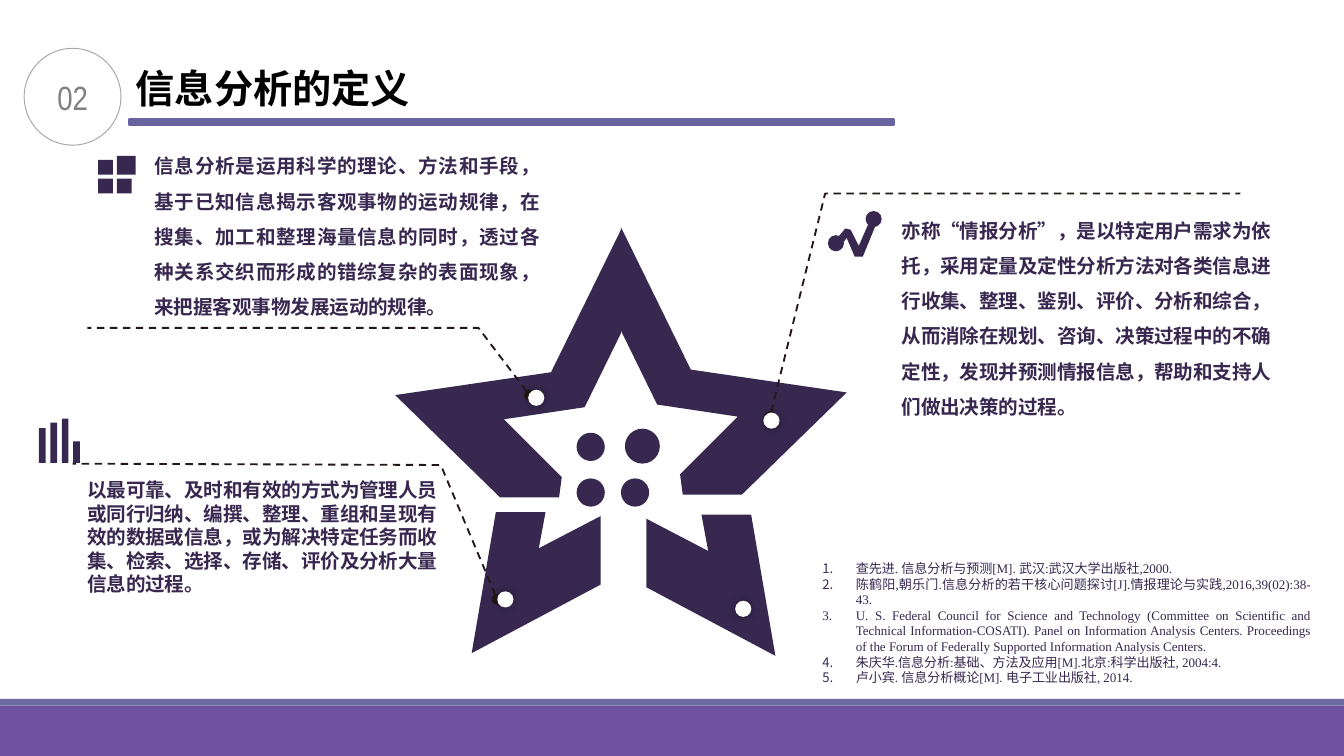
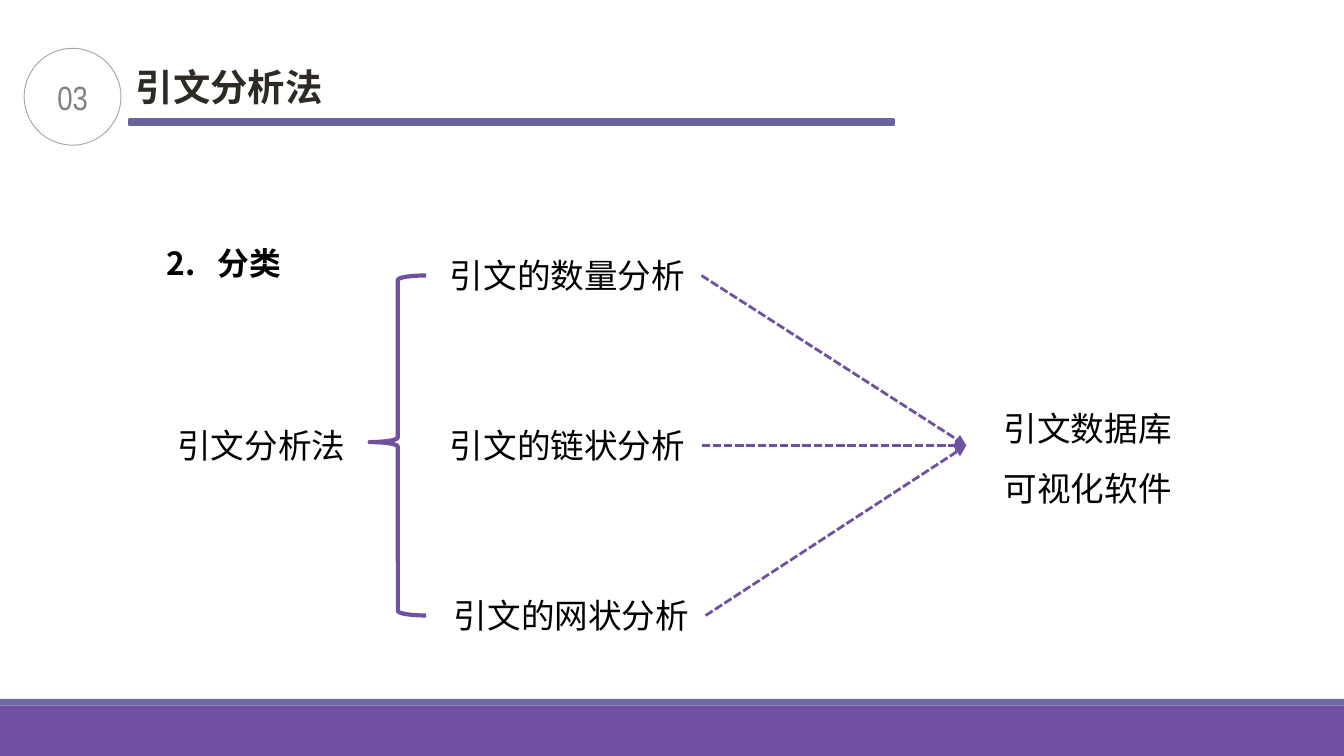
from lxml import etree
from pptx import Presentation, util as u
from pptx.dml.color import RGBColor
from pptx.enum import dml, shapes, text
from pptx.oxml import ns

# The slide is a grid of 100 columns by 56.25 rows; a cell is 0.1 inch square.
CELL = u.Inches(0.1)
COLS, ROWS = 100, 56.25

HUES = {
    "band": "7050A0", "strip": "6D69A3", "rule": "6964A0", "ring": "A6A6A6",
    "count": "808080", "dark": "382850", "hook": "231815", "white": "FFFFFF",
    "black": "000000", "ink": "2E2B25",
}
SANS, SERIF, THIN = "Noto Sans CJK SC", "Times New Roman", "Arial Narrow"
RECT, OVAL = shapes.MSO_SHAPE.RECTANGLE, shapes.MSO_SHAPE.OVAL
MID, LEFT = text.PP_ALIGN.CENTER, text.PP_ALIGN.LEFT
JUST = text.PP_ALIGN.JUSTIFY

CLAIMS = {
    "theory": "信息分析是运用科学的理论、方法和手段，基于已知信息揭示客观事物的运动规律，"
              "在搜集、加工和整理海量信息的同时，透过各种关系交织而形成的错综复杂的表面现象，"
              "来把握客观事物发展运动的规律。",
    "needs": "亦称“情报分析”，是以特定用户需求为依托，采用定量及定性分析方法对各类信息进行收集、"
             "整理、鉴别、评价、分析和综合，从而消除在规划、咨询、决策过程中的不确定性，"
             "发现并预测情报信息，帮助和支持人们做出决策的过程。",
    "tasks": "以最可靠、及时和有效的方式为管理人员或同行归纳、编撰、整理、重组和呈现有效的数据或信息，"
             "或为解决特定任务而收集、检索、选择、存储、评价及分析大量信息的过程。",
}
WORKS = [
    "查先进. 信息分析与预测[M]. 武汉:武汉大学出版社,2000.",
    "陈鹤阳,朝乐门.信息分析的若干核心问题探讨[J].情报理论与实践,2016,39(02):38-43.",
    "U. S. Federal Council for Science and Technology (Committee on Scientific and "
    "Technical Information-COSATI). Panel on Information Analysis Centers. Proceedings "
    "of the Forum of Federally Supported Information Analysis Centers.",
    "朱庆华.信息分析:基础、方法及应用[M].北京:科学出版社, 2004:4.",
    "卢小宾. 信息分析概论[M]. 电子工业出版社, 2014.",
]


def cells(*nums):
    return [round(n * CELL) for n in nums]


def hue(name):
    return RGBColor.from_string(HUES[name])


def node(parent, tag, **attrs):
    return etree.SubElement(parent, ns.qn(tag), attrs)


def paint(shape, fill=None, line=None, width=1):
    shape.shadow.inherit = False
    if fill:
        shape.fill.solid()
        shape.fill.fore_color.rgb = hue(fill)
    else:
        shape.fill.background()
    if line:
        shape.line.color.rgb = hue(line)
        shape.line.width = u.Pt(width)
    else:
        shape.line.fill.background()
    return shape


def draw(page, kind, box, fill=None, line=None, width=1):
    return paint(page.shapes.add_shape(kind, *cells(*box)), fill, line, width)


def trace(page, spot, points, fill=None, line=None, close=True):
    """Draw an outline whose points are counted in cells from spot."""
    path = [cells(spot[0] + x, spot[1] + y) for x, y in points]
    pen = page.shapes.build_freeform(*path[0])
    pen.add_line_segments(path[1:], close=close)
    return paint(pen.convert_to_shape(), fill, line)


def write(shape, lines, size, font, color="black", bold=False, align=LEFT,
          space=None, inset=(1, 0.5), wrap=True, first=None, hang=0):
    """Fill a shape with paragraphs; first is the number the list starts at."""
    frame = shape.text_frame
    frame.text = "\n".join(lines)
    frame.word_wrap = wrap
    frame.margin_left = frame.margin_right = cells(inset[0])[0]
    frame.margin_top = frame.margin_bottom = cells(inset[1])[0]
    for par in frame.paragraphs:
        par.alignment = align
        if space:
            par.line_spacing = space
        if first:
            props = par._p.get_or_add_pPr()
            props.set("marL", str(cells(hang)[0]))
            props.set("indent", str(-cells(hang)[0]))
            node(props, "a:buFont", typeface=font)
            node(props, "a:buAutoNum", type="arabicPeriod", startAt=str(first))
        for run in par.runs:
            run.font.size, run.font.bold = u.Pt(size), bold
            run.font.name = font
            run.font.color.rgb = hue(color)
            node(run._r.get_or_add_rPr(), "a:ea", typeface=SANS)
    return shape


def label(page, box, lines, size, font, *args, **opts):
    return write(page.shapes.add_textbox(*cells(*box)), lines, size, font, *args, **opts)


def frame(deck, count, title, size, color):
    """Add a slide with the shared bands, number ring, title and rule."""
    page = deck.slides.add_slide(deck.slide_layouts[6])
    draw(page, RECT, (0, 52.5, COLS, ROWS - 52.5), "band")
    draw(page, RECT, (0, 52, COLS, 0.5), "strip")
    ring = draw(page, OVAL, (1.8, 3.6, 7.2, 7.2), None, "ring", 0.5)
    write(ring, [count], 18, THIN, "count", align=MID, inset=(0.7, 0.4))
    ring.text_frame.vertical_anchor = text.MSO_ANCHOR.MIDDLE
    label(page, (9.4, 4.4, 22.3, 4.3), [title], size, SANS, color, True,
          inset=(0.7, 0.4), wrap=False)
    draw(page, RECT, (9.6, 8.9, 56.9, 0.4), "rule", "rule", 1.25)
    return page


def star(page, box):
    """Draw the split star around the middle of the box's top side."""
    x, y, wide, _ = box
    mid = x + wide / 2
    arm = [(5.2, 10.6), (0, 0), (0, 7.7), (2.7, 13.2), (8.7, 14.1),
           (4.4, 18.4), (4.6, 19.9), (9, 19.9), (16.8, 12.3)]
    leg = [(0, 0.3), (0, 5.4), (9.6, 10.5), (7.8, 0), (4.1, 0), (4.6, 2.7)]
    for side, drop, gap, fall in ((1, 0, 1.9, 21.4), (-1, 0.2, 1.5, 21.2)):
        trace(page, (mid, y + drop), [(side * a, b) for a, b in arm], "dark")
        trace(page, (mid + side * gap, y + fall), [(side * a, b) for a, b in leg], "dark")
    for a, b, size in ((-3.3, 15.3, 2.1), (0.3, 15, 2.6), (-3.3, 18.7, 2.1), (0, 18.7, 2.1)):
        draw(page, OVAL, (mid + a, y + b, size, size), "dark")


def hook(page, spot, bend, end):
    """Draw a dashed leader that starts at spot with a round head."""
    shape = trace(page, spot, [(0, 0), bend, end], line="hook", close=False)
    shape.line.dash_style = dml.MSO_LINE.DASH
    node(shape.line._get_or_add_ln(), "a:headEnd", type="oval")


def pin(page, x, y):
    dot = draw(page, OVAL, (x, y, 1.2, 1.2), "white")
    glow = dot._element.spPr.find(ns.qn("a:effectLst"))
    cast = node(glow, "a:outerShdw", blurRad=str(u.Pt(5)), dist="0", dir="0",
                algn="ctr", rotWithShape="0")
    node(node(cast, "a:srgbClr", val=HUES["black"]), "a:alpha", val="40000")


def tiles(page, x, y):
    group = page.shapes.add_group_shape()
    for a, b, size in ((0, 0.3, 1.1), (1.4, 0, 1.4), (0, 1.7, 1.1), (1.4, 1.7, 1.1)):
        draw(group, RECT, (x + a, y + b, size, size), "dark")


def bars(page, x, base):
    group = page.shapes.add_group_shape()
    for i, tall in enumerate((2.6, 3, 3.3, 1.6)):
        draw(group, RECT, (x + 0.85 * i, base - tall, 0.5, tall), "dark")


def trend(page, x, y):
    group = page.shapes.add_group_shape()
    trace(group, (x, y), [(0.8, 1.9), (1.3, 1.3), (1.7, 1.4), (2.3, 2.6), (3, 1),
                          (3.5, 1.2), (2.6, 3.4), (2, 3.4), (1.4, 2), (1.2, 2.3)], "dark")
    for a, b in ((0, 1.8), (2.8, 0)):
        draw(group, OVAL, (x + a, y + b, 1.2, 1.2), "dark")


def meaning(deck):
    page = frame(deck, "02", "信息分析的定义", 21, "black")
    star(page, (29.4, 16.9, 33.6, 31.9))
    hook(page, (39.4, 29.4), (-3.8, -5), (-32.9, -5))
    hook(page, (37, 44.6), (-4.2, -10), (-31.6, -10.1))
    hook(page, (57.3, 31), (4.1, -16.6), (35, -16.6))
    for spot in ((39.3, 29), (56.8, 30.7), (54.7, 44.7), (37, 44)):
        pin(page, *spot)
    tiles(page, 7.3, 11.6)
    bars(page, 2.9, 34.45)
    trend(page, 61.6, 15.7)
    look = (10.5, SANS, "dark", True)
    label(page, (10.2, 9.9, 31.3, 14.3), [CLAIMS["theory"]], *look,
          align=JUST, space=1.5, inset=(1.3, 0.7))
    label(page, (66.1, 14.9, 30.9, 16.6), [CLAIMS["needs"]], *look, space=1.5)
    label(page, (5.5, 35.1, 28.5, 9.8), [CLAIMS["tasks"]], *look)
    label(page, (60.2, 41.2, 38.3, 10.4), WORKS, 7, SERIF, "dark",
          align=JUST, first=1, hang=2.5)


def link(page, start, x, y):
    """Run a dashed arrow from the right side of start to a point."""
    line = page.shapes.add_connector(shapes.MSO_CONNECTOR.STRAIGHT, 0, 0, *cells(x, y))
    line.begin_connect(start, 3)
    line.line.color.rgb = hue("band")
    line.line.width = u.Pt(1.5)
    line.line.dash_style = dml.MSO_LINE.SQUARE_DOT
    node(line.line._get_or_add_ln(), "a:tailEnd", type="triangle")
    node(line._element.spPr, "a:effectLst")


def tree(page, box):
    """Lay out root, brace, three branches and goal from left to right."""
    x, y, wide, high = box
    mid, row = y + high / 2, 4
    step = (high - row) / 2
    label(page, (x, mid - row / 2, 16.1, row), ["引文分析法"], 18, SERIF)
    brace = draw(page, shapes.MSO_SHAPE.LEFT_BRACE,
                 (x + 15.3, y + row / 2, 4.2, high - row), None, "band", 2.25)
    brace.adjustments[0], brace.adjustments[1] = 0.08, 0.49
    for i, (kind, shift) in enumerate((("数量", 0), ("链状", 0), ("网状", 0.3))):
        branch = label(page, (x + 20.3 + shift, y + i * step, 19.7, row),
                       [f"引文的{kind}分析"], 18, SERIF)
        link(page, branch, x + 59.7, mid)
    label(page, (x + wide - 16.1, mid - 4.8, 16.1, 9.6), ["引文数据库", "可视化软件"],
          18, SERIF, space=1.5)


def method(deck):
    page = frame(deck, "03", "引文分析法", 20, "ink")
    label(page, (11.4, 16.2, 10.6, 4.8), ["分类"], 17, SERIF, bold=True,
          space=1.5, wrap=False, first=2, hang=3.8)
    tree(page, (12.2, 18.5, 77.6, 29.3))


def main():
    deck = Presentation()
    deck.slide_width, deck.slide_height = cells(COLS, ROWS)
    meaning(deck)
    method(deck)
    deck.save("out.pptx")


if __name__ == "__main__":
    main()
